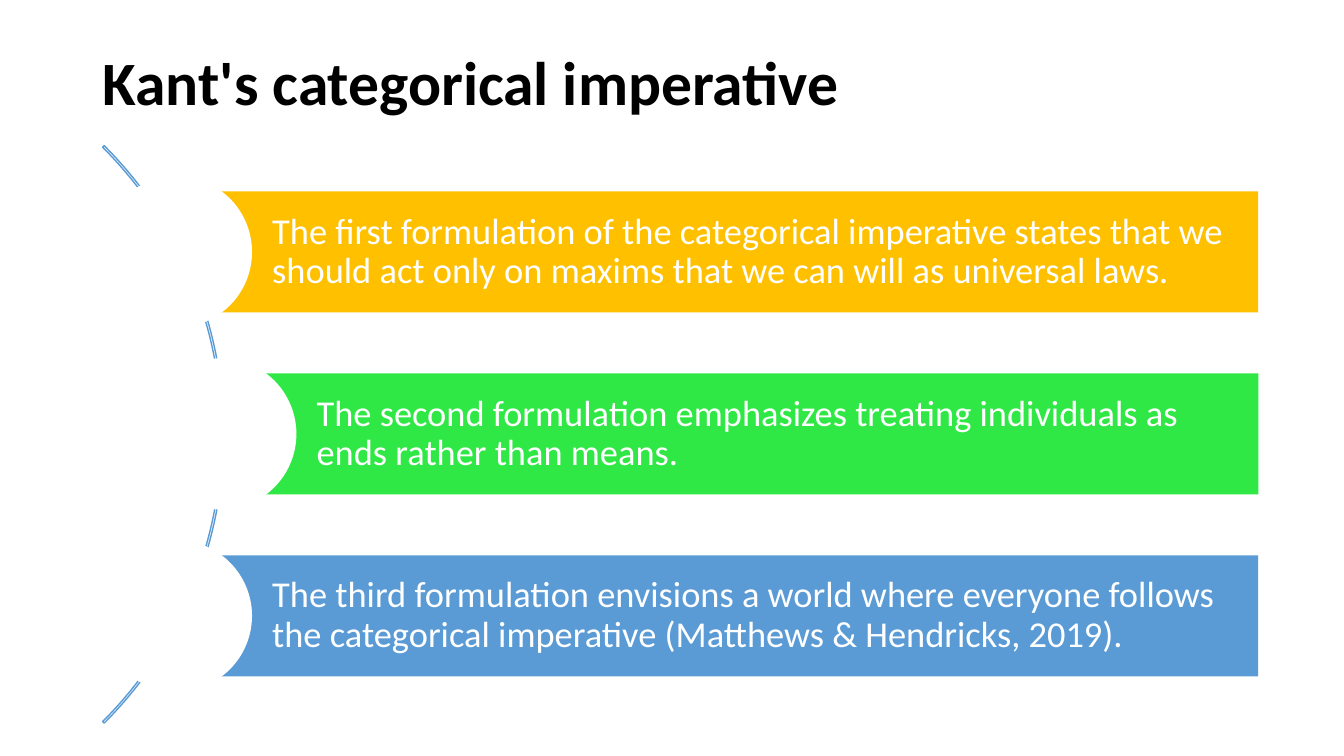
from dataclasses import dataclass

from pptx import Presentation
from pptx.dml.color import RGBColor
from pptx.enum.shapes import MSO_SHAPE
from pptx.enum.text import MSO_ANCHOR, PP_ALIGN
from pptx.shapes.autoshape import Shape
from pptx.slide import Slide
from pptx.text.text import TextFrame
from pptx.util import Inches, Pt

RECTANGLE = MSO_SHAPE.RECTANGLE
OVAL = MSO_SHAPE.OVAL
BLOCK_ARC = MSO_SHAPE.BLOCK_ARC
MIDDLE = MSO_ANCHOR.MIDDLE
LEFT_ALIGN = PP_ALIGN.LEFT

FONT = "Calibri"
WHITE = "FFFFFF"
BLACK = "000000"
BLUE = "5B9BD5"

BAR_RIGHT = 12.48
BAR_HEIGHT = 1.2
FIRST_BAR_TOP = 1.9
BAR_PITCH = 1.805
CIRCLE_SIZE = 1.5


@dataclass(frozen=True)
class Formulation:
    left: float
    color: str
    text: str


FORMULATIONS = [
    Formulation(1.75, "FFC000", "The first formulation of the categorical imperative states "
                "that we should act only on maxims that we can will as universal laws."),
    Formulation(2.19, "30E845", "The second formulation emphasizes treating individuals "
                "as ends rather than means."),
    Formulation(1.75, BLUE, "The third formulation envisions a world where everyone follows "
                "the categorical imperative (Matthews & Hendricks, 2019)."),
]


def rgb(color: str) -> RGBColor:
    return RGBColor.from_string(color)


def add_plain_shape(slide: Slide, kind: MSO_SHAPE, left: float, top: float,
                    width: float, height: float, fill: str | None) -> Shape:
    shape = slide.shapes.add_shape(kind, Inches(left), Inches(top), Inches(width), Inches(height))
    shape.shadow.inherit = False
    shape.line.fill.background()
    if fill is None:
        shape.fill.background()
    else:
        shape.fill.solid()
        shape.fill.fore_color.rgb = rgb(fill)
    return shape


def write_text(frame: TextFrame, text: str, size: int, color: str, bold: bool = False) -> None:
    frame.word_wrap = True
    frame.vertical_anchor = MIDDLE
    paragraph = frame.paragraphs[0]
    paragraph.text = text
    paragraph.alignment = LEFT_ALIGN
    paragraph.line_spacing = 0.9
    paragraph.font.name = FONT
    paragraph.font.size = Pt(size)
    paragraph.font.bold = bold
    paragraph.font.color.rgb = rgb(color)


def add_title(slide: Slide, text: str) -> None:
    title = slide.shapes.add_textbox(Inches(0.92), Inches(0.4), Inches(11.5), Inches(0.9))
    write_text(title.text_frame, text, 44, BLACK, bold=True)


def add_arc(slide: Slide) -> None:
    arc = add_plain_shape(slide, BLOCK_ARC, -5.88, 0.26, 8.1, 8.1, None)
    # Start angle, end angle and band thickness
    for index, value in enumerate((189, 27, 0.00267)):
        arc.adjustments[index] = value
    arc.line.color.rgb = rgb(BLUE)
    arc.line.width = Pt(1)


def add_formulation(slide: Slide, formulation: Formulation, top: float) -> None:
    left = formulation.left
    bar = add_plain_shape(slide, RECTANGLE, left, top, BAR_RIGHT - left, BAR_HEIGHT,
                          formulation.color)
    frame = bar.text_frame
    frame.margin_left = Inches(0.95)
    frame.margin_top = frame.margin_right = frame.margin_bottom = Inches(0.07)
    write_text(frame, formulation.text, 26, WHITE)
    # White circle centred on the left edge of the bar
    add_plain_shape(slide, OVAL, left - CIRCLE_SIZE / 2, top + (BAR_HEIGHT - CIRCLE_SIZE) / 2,
                    CIRCLE_SIZE, CIRCLE_SIZE, WHITE)


def main() -> None:
    presentation = Presentation()
    presentation.slide_width = Inches(13.33)
    presentation.slide_height = Inches(7.5)
    slide = presentation.slides.add_slide(presentation.slide_layouts[6])

    # Title and curved guide
    add_title(slide, "Kant's categorical imperative")
    add_arc(slide)

    # Bars along the curve
    for index, formulation in enumerate(FORMULATIONS):
        add_formulation(slide, formulation, FIRST_BAR_TOP + index * BAR_PITCH)

    presentation.save("out.pptx")


if __name__ == "__main__":
    main()
